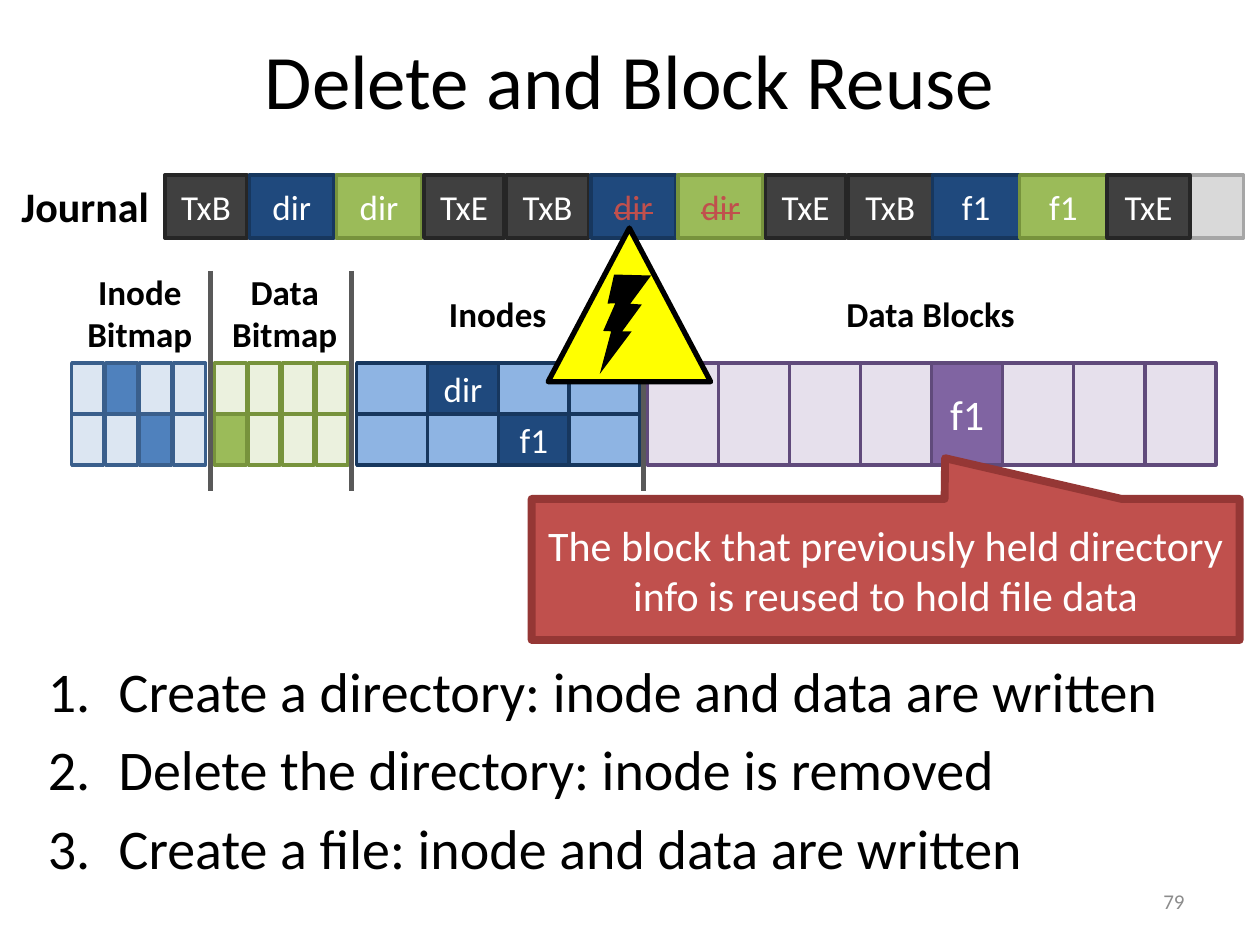
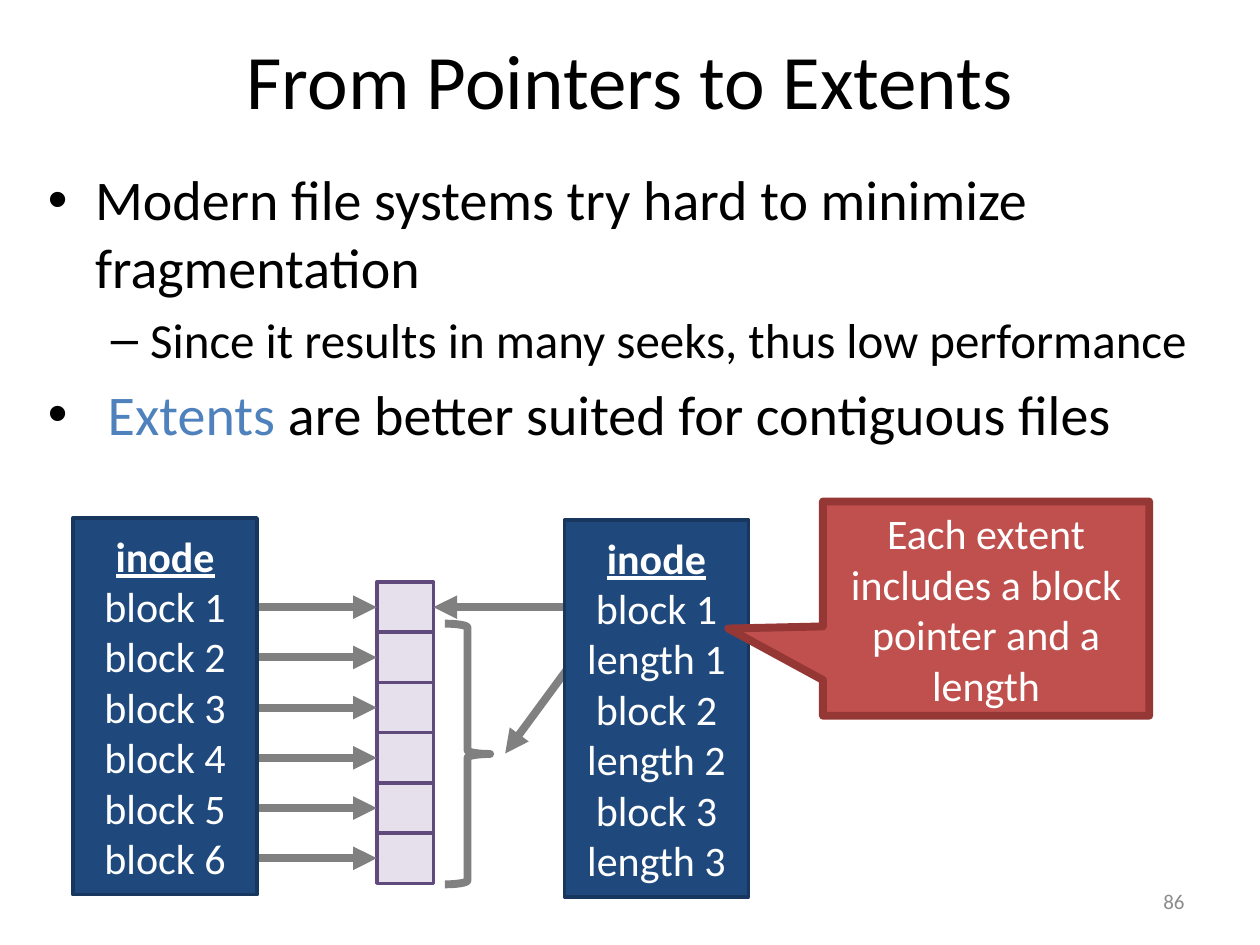
"""Builds two file-system slides: journal block reuse and extents."""
import pptx
import pptx.dml.color
import pptx.enum.shapes
import pptx.enum.text
import pptx.oxml.ns
import pptx.util
from lxml import etree

Pt = pptx.util.Pt
qn = pptx.oxml.ns.qn
SHAPE = pptx.enum.shapes.MSO_SHAPE
ALIGN = pptx.enum.text.PP_ALIGN
ANCHOR = pptx.enum.text.MSO_ANCHOR

COLOURS = {
    "black": "000000", "white": "FFFFFF", "footer": "8C8C8C",
    "divider": "595959", "arrow": "808080", "yellow": "FFFF00",
    "accent": "4F81BD", "red": "C0504D", "red edge": "953735",
    "log": "D9D9D9", "log edge": "A6A6A6",
    "marker": "404040", "marker edge": "262626",
    "inode": "1F497D", "inode free": "8EB4E3", "inode edge": "17375E",
    "data": "9BBB59", "data free": "EBF1DE", "data edge": "77933C",
    "bitmap": "4F81BD", "bitmap free": "DCE6F2", "bitmap edge": "3A5F8C",
    "block": "8064A2", "block free": "E6E0EC", "block edge": "604A7B",
}
BULLETS = {
    "number": (40.5, -40.5, "a:buAutoNum", {"type": "arabicPeriod"}),
    "dot": (27, -27, "a:buChar", {"char": "•"}),
    "dash": (58.5, -22.5, "a:buChar", {"char": "–"}),
}


class Deck:
    """Holds the shared style and the slide being drawn."""

    font = "Calibri"

    def __init__(self):
        self.presentation = pptx.Presentation()
        self.presentation.slide_width = Pt(720)
        self.presentation.slide_height = Pt(540)
        self.slide = None

    def colour(self, name):
        return pptx.dml.color.RGBColor.from_string(COLOURS[name])

    def start(self, title, number):
        self.slide = self.presentation.slides.add_slide(self.presentation.slide_layouts[5])
        shape = self.slide.shapes.title
        shape.left, shape.top, shape.width, shape.height = Pt(36), Pt(0), Pt(648), Pt(90)
        shape.text_frame.vertical_anchor = ANCHOR.MIDDLE
        self.add_lines(shape.text_frame, [title], 44)
        self.text(516, 500.5, 168, 28.8, [str(number)], 12, "footer",
                  align=ALIGN.RIGHT, anchor=ANCHOR.MIDDLE)

    def style(self, paragraph, size, colour, align=ALIGN.CENTER, bold=False):
        paragraph.alignment = align
        font = paragraph.font
        font.name, font.size, font.bold = self.font, Pt(size), bold
        font.color.rgb = self.colour(colour)

    def add_lines(self, frame, lines, size, colour="black", align=ALIGN.CENTER, bold=False):
        for index, line in enumerate(lines):
            paragraph = frame.add_paragraph() if index else frame.paragraphs[0]
            paragraph.add_run().text = line
            self.style(paragraph, size, colour, align, bold)

    def text(self, left, top, width, height, lines, size, colour="black",
             align=ALIGN.CENTER, bold=False, wrap=True, anchor=ANCHOR.TOP):
        box = self.slide.shapes.add_textbox(Pt(left), Pt(top), Pt(width), Pt(height))
        box.text_frame.word_wrap = wrap
        box.text_frame.vertical_anchor = anchor
        self.add_lines(box.text_frame, lines, size, colour, align, bold)
        return box

    def bullets(self, top, height, items):
        frame = self.text(20.2, top, 683.3, height, [], 32).text_frame
        for index, (kind, size, runs) in enumerate(items):
            paragraph = frame.add_paragraph() if index else frame.paragraphs[0]
            self.style(paragraph, size, "black", ALIGN.LEFT)
            paragraph.space_before = Pt(size * 0.2)
            for words, colour in runs:
                run = paragraph.add_run()
                run.text = words
                if colour != "black":
                    run.font.color.rgb = self.colour(colour)
            margin, indent, tag, attributes = BULLETS[kind]
            properties = paragraph._p.get_or_add_pPr()
            properties.set("marL", str(Pt(margin)))
            properties.set("indent", str(Pt(indent)))
            marks = [etree.Element(qn("a:buFont"), typeface="Arial"),
                     etree.Element(qn(tag), attributes)]
            for mark in marks:
                properties.find(qn("a:defRPr")).addprevious(mark)

    def shape(self, kind, left, top, width, height, fill, edge, weight=2.0,
              lines=(), size=20, colour="white"):
        shape = self.slide.shapes.add_shape(kind, Pt(left), Pt(top), Pt(width), Pt(height))
        shape.shadow.inherit = False
        if fill:
            shape.fill.solid()
            shape.fill.fore_color.rgb = self.colour(fill)
        else:
            shape.fill.background()
        if edge:
            shape.line.color.rgb = self.colour(edge)
            shape.line.width = Pt(weight)
        else:
            shape.line.fill.background()
        shape.text_frame.vertical_anchor = ANCHOR.MIDDLE
        self.add_lines(shape.text_frame, lines, size, colour)
        return shape

    def box(self, left, top, width, height, kind, lines=(), free=False, **text):
        fill = f"{kind} free" if free else kind
        return self.shape(SHAPE.RECTANGLE, left, top, width, height, fill,
                          f"{kind} edge", lines=lines, **text)

    def grid(self, left, top, columns, rows, pitch, width, height, kind, used, size=20):
        cells = []
        for row in range(rows):
            for column in range(columns):
                label = used.get((row, column))
                cells.append(self.box(left + column * pitch, top + row * height, width, height,
                                      kind, [label] if label else [],
                                      free=(row, column) not in used, size=size))
        return cells

    def callout(self, left, top, width, height, tip, words):
        shape = self.shape(SHAPE.RECTANGULAR_CALLOUT, left, top, width, height,
                           "red", "red edge", 4.5, [words], 24)
        shape.adjustments[0], shape.adjustments[1] = tip

    def line(self, start, end, colour, weight, arrow=False):
        line = self.slide.shapes.add_connector(
            pptx.enum.shapes.MSO_CONNECTOR.STRAIGHT, *map(Pt, start + end))
        line.line.color.rgb = self.colour(colour)
        line.line.width = Pt(weight)
        if arrow:
            etree.SubElement(line.line._get_or_add_ln(), qn("a:tailEnd"), type="triangle")
        etree.SubElement(line._element.spPr, qn("a:effectLst"))
        return line

    def arrow(self, start, end, cell=None, side=None):
        line = self.line(start, end, "arrow", 4.5, arrow=True)
        if cell is not None:
            line.end_connect(cell, side)

    def inode(self, left, top, entries):
        shape = self.box(left, top, 105.1, 215.3, "inode", ["inode"] + entries, size=24)
        heading = shape.text_frame.paragraphs[0].font
        heading.bold = heading.underline = True


def draw_journal(deck):
    top, height, left, pitch = 100.1, 36, 94.3, 195.2
    offsets = [0, 48.2, 98, 148, pitch]
    deck.box(left, top, 616.3, height, "log")
    deck.text(0, 99.4, 92.2, 36.4, ["Journal"], 24, align=ALIGN.RIGHT, bold=True)
    transactions = [("dir", False, 1.4), ("dir", True, 1.4), ("f1", False, 0)]
    for index, (name, struck, gap) in enumerate(transactions):
        entries = [("TxB", "marker"), (name, "inode"), (name, "data"), ("TxE", "marker")]
        for (label, kind), begin, end in zip(entries, offsets, offsets[1:]):
            removed = struck and kind != "marker"
            shape = deck.box(left + index * pitch + begin, top, end - begin - gap, height, kind,
                             [label], colour="red" if removed else "white")
            if removed:
                run = shape.text_frame.paragraphs[0].runs[0]
                run._r.get_or_add_rPr().set("strike", "sngStrike")


def draw_disk(deck):
    top, row = 207.4, 29.1
    deck.grid(41, top, 4, 2, 19.4, 18.2, row, "bitmap", {(0, 1): "", (1, 2): ""})
    deck.grid(122.6, top, 4, 2, 19.4, 18.2, row, "data", {(1, 0): ""})
    deck.grid(203.8, top, 4, 2, 40.5, 40.5, row, "inode", {(0, 1): "dir", (1, 2): "f1"})
    deck.grid(370, top, 8, 1, 40.6, 40.6, 2 * row, "block", {(0, 4): "f1"}, size=24)
    headings = [(42.5, 151.2, 74.9, ["Inode", "Bitmap"]), (125.3, 151.2, 74.9, ["Data", "Bitmap"]),
                (249.1, 163.4, 70.6, ["Inodes"]), (475.9, 163.4, 111.6, ["Data Blocks"])]
    for left, heading_top, width, lines in headings:
        deck.text(left, heading_top, width, 24 * len(lines) + 7.2, lines, 20, bold=True, wrap=False)
    for x in (120.2, 200.9, 367.9):
        deck.line((x, 154.8), (x, 280.8), "divider", 3)


def draw_crash_sign(deck):
    deck.shape(SHAPE.ISOSCELES_TRIANGLE, 313.2, 130.3, 92.9, 87.8, "yellow", "black", 3)
    bolt = deck.shape(SHAPE.LIGHTNING_BOLT, 331.2, 157, 49, 49, "black", None)
    bolt.rotation = 336.9
    bolt._element.spPr.find(qn("a:xfrm")).set("flipH", "1")


def block_reuse(deck):
    deck.start("Delete and Block Reuse", 79)
    steps = ["Create a directory: inode and data are written",
             "Delete the directory: inode is removed",
             "Create a file: inode and data are written"]
    deck.bullets(371.5, 157, [("number", 32, [(step, "black")]) for step in steps])
    draw_journal(deck)
    draw_disk(deck)
    draw_crash_sign(deck)
    deck.callout(303.8, 285.1, 404.6, 80.6, (0.084, -0.789),
                 "The block that previously held directory info is reused to hold file data")


def extents(deck):
    deck.start("From Pointers to Extents", 86)
    deck.bullets(90.7, 179.3, [
        ("dot", 32, [("Modern file systems try hard to minimize fragmentation", "black")]),
        ("dash", 28, [("Since it results in many seeks, thus low performance", "black")]),
        ("dot", 32, [(" ", "black"), ("Extents", "accent"),
                     (" are better suited for contiguous files", "black")]),
    ])
    left, top, width, pitch = 215.3, 332.6, 32.4, 28.7
    cells = deck.grid(left, top, 1, 6, width, width, pitch, "block", {})
    for index, cell in enumerate(cells):
        middle = top + (index + 0.5) * pitch
        deck.arrow((56, middle), (left, middle), cell, 1)
    middle = top + pitch / 2
    deck.arrow((397.4, middle), (left + width, middle), cells[0], 3)
    deck.shape(SHAPE.RIGHT_BRACE, 254.2, 356.4, 25.9, 149, None, "arrow", 4.5)
    deck.arrow((329, 375.8), (288.7, 430.6))
    deck.inode(41.8, 296, [f"block {number}" for number in range(1, 7)])
    deck.inode(322.6, 297.2, [f"{field} {number}" for number in range(1, 4)
                              for field in ("block", "length")])
    deck.callout(470.2, 286.6, 186.5, 122.4, (-0.79, 0.093),
                 "Each extent includes a block pointer and a length")


def main():
    deck = Deck()
    block_reuse(deck)
    extents(deck)
    deck.presentation.save("out.pptx")


if __name__ == "__main__":
    main()
